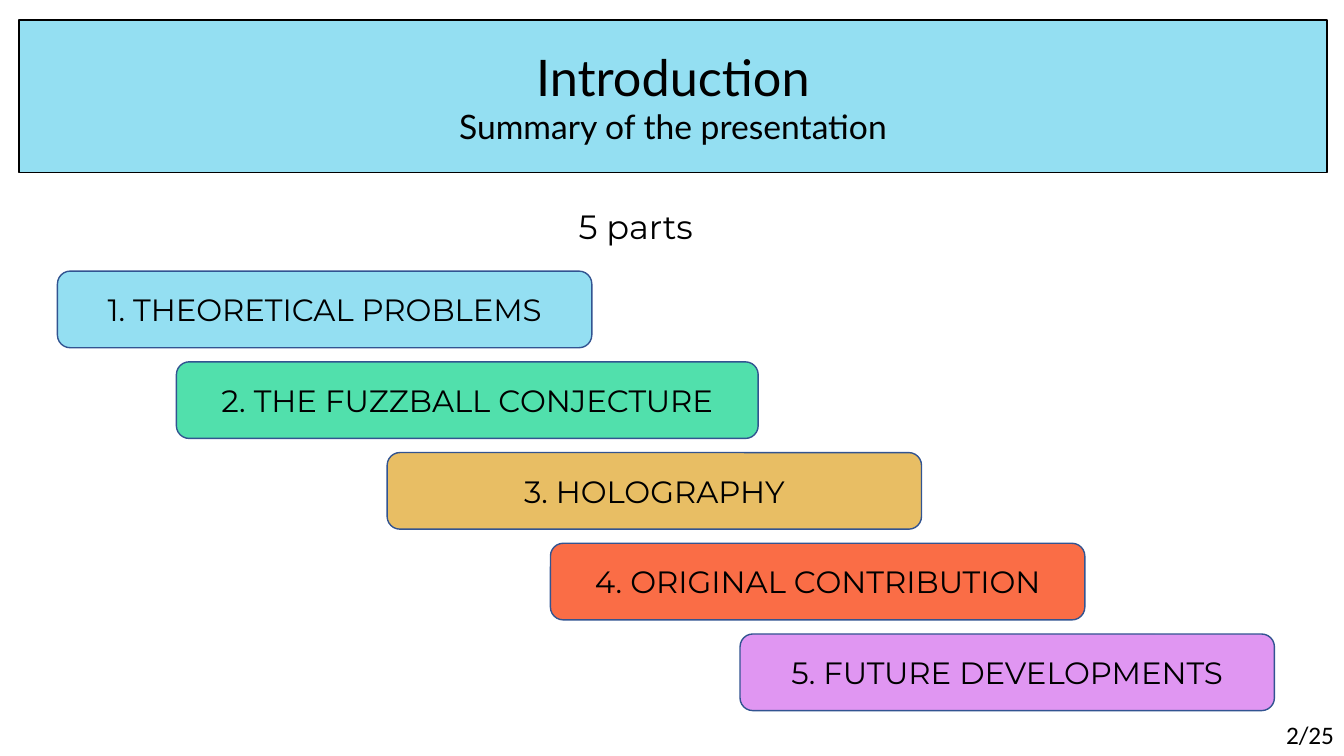
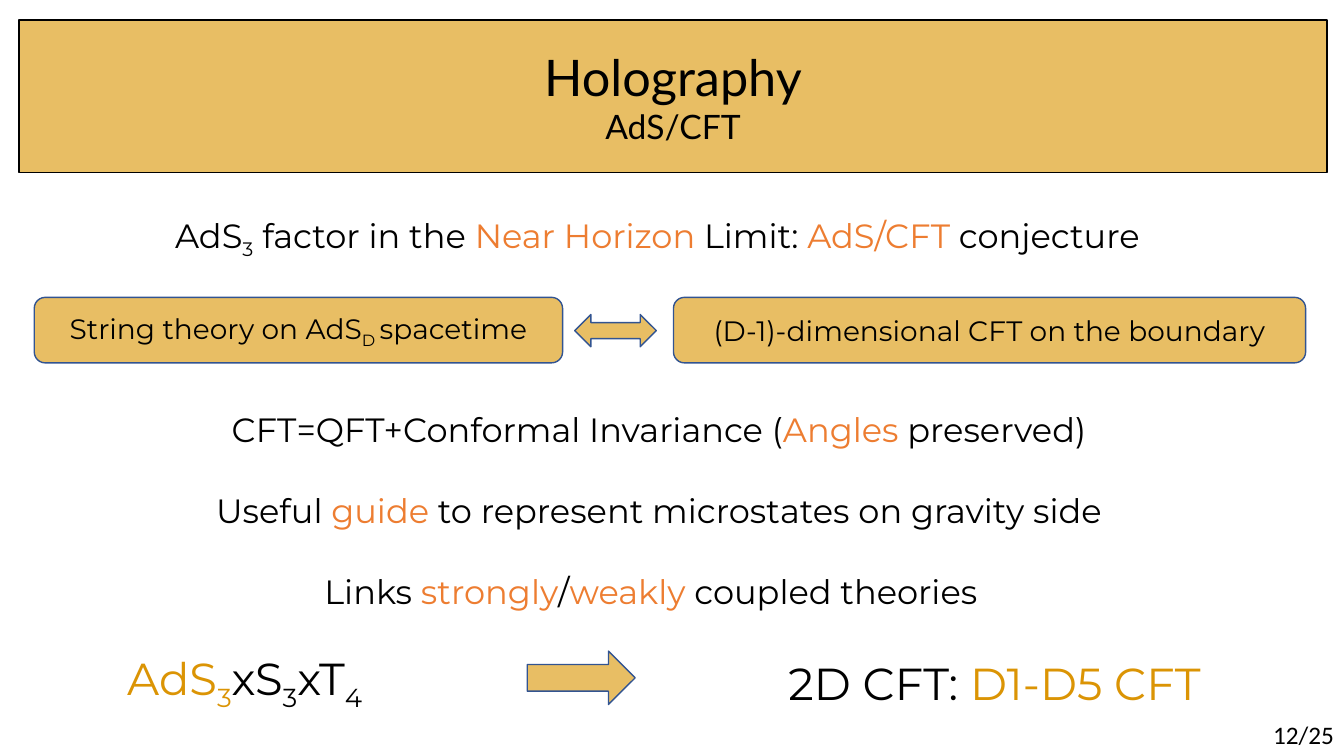
from collections import namedtuple

from pptx import Presentation
from pptx.dml.color import RGBColor
from pptx.enum.shapes import MSO_SHAPE
from pptx.enum.text import MSO_ANCHOR, MSO_AUTO_SIZE, PP_ALIGN
from pptx.util import Inches, Pt

Box = namedtuple("Box", "left top width height")
Run = namedtuple("Run", "text color subscript", defaults=("000000", False))

BLACK = "000000"
BLUE, GREEN, GOLD, RED, VIOLET = "94DFF2", "51E0AC", "E8BE64", "FA6D46", "E096F2"
OUTLINE, ACCENT, DARK_GOLD = "325491", "ED7D31", "DB9404"
TITLE_FONT, BODY_FONT, NUMBER_FONT = "Lato", "Montserrat", "Calibri"
SLIDE_COUNT = 25
BAND = Box(0.19, 0.2, 12.97, 1.51)
NUMBER_BOX = Box(12.33, 7.09, 1, 0.4)
STEPS_BOX = Box(0.57, 2.69, 12.07, 4.36)
HOLOGRAPHY_BOX = Box(0.34, 2.08, 12.61, 4.97)


def rgb(color):
    return RGBColor.from_string(color)


def inches(box):
    return [Inches(value) for value in box]


def inside(region, left, top, width, height):
    """Turn a place measured from the region's corner into a place on the slide."""
    return Box(region.left + left, region.top + top, width, height)


def paint(shape, fill, line):
    shape.fill.solid()
    shape.fill.fore_color.rgb = rgb(fill)
    shape.line.color.rgb = rgb(line)
    shape.line.width = Pt(1)


def write(paragraph, runs, size, font=BODY_FONT, alignment=PP_ALIGN.CENTER):
    paragraph.alignment = alignment
    for part in runs:
        run = paragraph.add_run()
        run.text = part.text
        formats = {"name": font, "size": Pt(size)}
        for name, value in formats.items():
            setattr(run.font, name, value)
        run.font.color.rgb = rgb(part.color)
        if part.subscript:
            run._r.get_or_add_rPr().set("baseline", "-25000")


def add_text(slide, box, runs, size, **style):
    text_frame = slide.shapes.add_textbox(*inches(box)).text_frame
    text_frame.word_wrap = True
    write(text_frame.paragraphs[0], runs, size, **style)


def add_panel(slide, box, fill, preset=MSO_SHAPE.ROUNDED_RECTANGLE, runs=(), size=20):
    shape = slide.shapes.add_shape(preset, *inches(box))
    shape.shadow.inherit = False
    paint(shape, fill, OUTLINE)
    shape.text_frame.vertical_anchor = MSO_ANCHOR.MIDDLE
    write(shape.text_frame.paragraphs[0], runs, size)


def add_titled_slide(presentation, title, subtitle, color, number):
    slide = presentation.slides.add_slide(presentation.slide_layouts[5])
    band = slide.shapes.title
    band.left, band.top, band.width, band.height = inches(BAND)
    paint(band, color, BLACK)
    formats = {"vertical_anchor": MSO_ANCHOR.MIDDLE, "auto_size": MSO_AUTO_SIZE.NONE,
               "word_wrap": True}
    for name, value in formats.items():
        setattr(band.text_frame, name, value)
    write(band.text_frame.paragraphs[0], [Run(title)], 36, TITLE_FONT)
    write(band.text_frame.add_paragraph(), [Run(subtitle)], 24, TITLE_FONT)
    add_text(slide, NUMBER_BOX, [Run(f"{number}/{SLIDE_COUNT}")], 18,
             font=NUMBER_FONT, alignment=PP_ALIGN.RIGHT)
    return slide


def add_steps(slide, region):
    """Place the five parts as a staircase under their heading."""
    steps = [
        ("THEORETICAL PROBLEMS", BLUE, 0, 5.3),
        ("THE FUZZBALL CONJECTURE", GREEN, 1.18, 5.77),
        ("HOLOGRAPHY", GOLD, 3.27, 5.3),
        ("ORIGINAL CONTRIBUTION", RED, 4.89, 5.3),
        ("FUTURE DEVELOPMENTS", VIOLET, 6.77, 5.3),
    ]
    height = 0.76
    pitch = (region.height - height) / (len(steps) - 1)
    add_text(slide, inside(region, 5.07, -0.7, 1.7, 0.5),
             [Run(f"{len(steps)} parts")], 24, alignment=PP_ALIGN.LEFT)
    for index, (name, color, left, width) in enumerate(steps):
        add_panel(slide, inside(region, left, index * pitch, width, height), color,
                  runs=[Run(f"{index + 1}. {name}")], size=22)


def add_duality(slide, region):
    """Place the two sides of the conjecture, joined by a double arrow."""
    add_panel(slide, inside(region, 0, 0, 5.24, region.height), GOLD, runs=[
        Run("String theory on AdS"), Run("D ", subscript=True), Run("spacetime")])
    add_panel(slide, inside(region, 5.36, 0.17, 0.81, 0.32), GOLD,
              MSO_SHAPE.LEFT_RIGHT_ARROW)
    add_panel(slide, inside(region, 6.34, 0, 6.27, region.height), GOLD,
              runs=[Run("(D-1)-dimensional CFT on the boundary")])


def add_statements(slide, region):
    statements = [
        (0, [Run("CFT=QFT+Conformal Invariance ("), Run("Angles ", ACCENT),
             Run("preserved)")]),
        (0, [Run("Useful "), Run("guide", ACCENT),
             Run(" to represent microstates on gravity side")]),
        (-0.08, [Run("Links "), Run("strongly", ACCENT), Run("/"),
                 Run("weakly ", ACCENT), Run("coupled theories")]),
    ]
    for index, (left, runs) in enumerate(statements):
        add_text(slide, inside(region, left, index * 0.8, region.width, 0.5), runs, 24)


def add_example(slide, region):
    """Place the space, an arrow and the theory that corresponds to it."""
    add_text(slide, inside(region, 0, 0, 3.15, 0.64), [
        Run("AdS", DARK_GOLD), Run("3", DARK_GOLD, True), Run("xS"),
        Run("3", subscript=True), Run("xT"), Run("4", subscript=True)], 32)
    add_panel(slide, inside(region, 4.38, 0.05, 1.07, 0.53), GOLD, MSO_SHAPE.RIGHT_ARROW)
    add_text(slide, inside(region, 6.26, 0.05, 5.51, 0.64),
             [Run("2D CFT: "), Run("D1-D5 CFT", DARK_GOLD)], 32)


def add_holography(slide, region):
    add_text(slide, inside(region, 0.66, 0, 11.04, 0.5), [
        Run("AdS"), Run("3", subscript=True), Run(" factor in the "),
        Run("Near Horizon ", ACCENT), Run("Limit: "), Run("AdS/CFT ", ACCENT),
        Run("conjecture")], 24)
    add_duality(slide, inside(region, 0, 0.87, region.width, 0.65))
    add_statements(slide, inside(region, 1.12, 1.93, 10.15, 2.1))
    add_example(slide, inside(region, 0.51, 4.33, 11.77, 0.69))


def main():
    presentation = Presentation()
    presentation.slide_width = Inches(13.33)
    presentation.slide_height = Inches(7.5)
    introduction = add_titled_slide(
        presentation, "Introduction", "Summary of the presentation", BLUE, 2)
    add_steps(introduction, STEPS_BOX)
    holography = add_titled_slide(presentation, "Holography", "AdS/CFT", GOLD, 12)
    add_holography(holography, HOLOGRAPHY_BOX)
    presentation.save("out.pptx")


if __name__ == "__main__":
    main()
